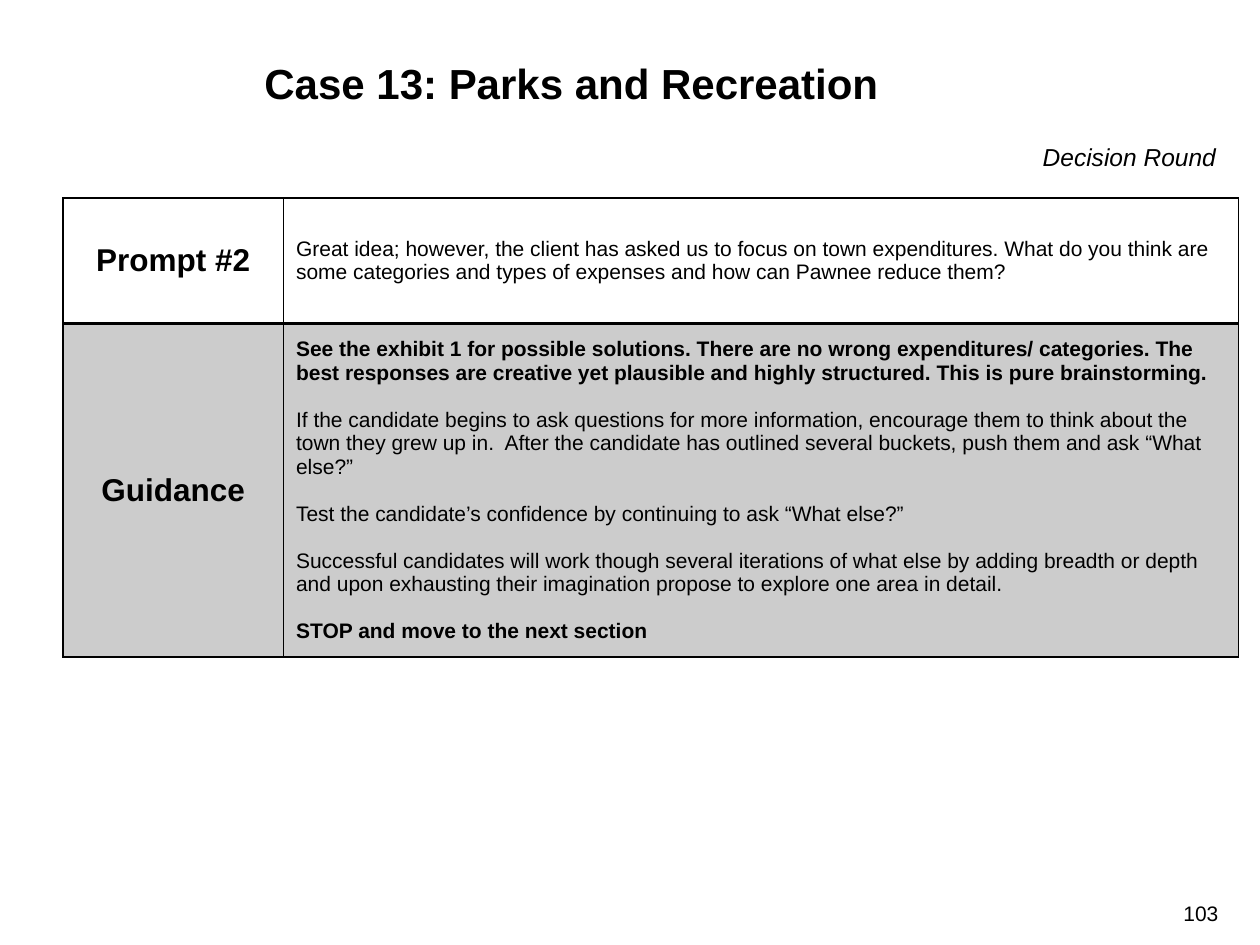
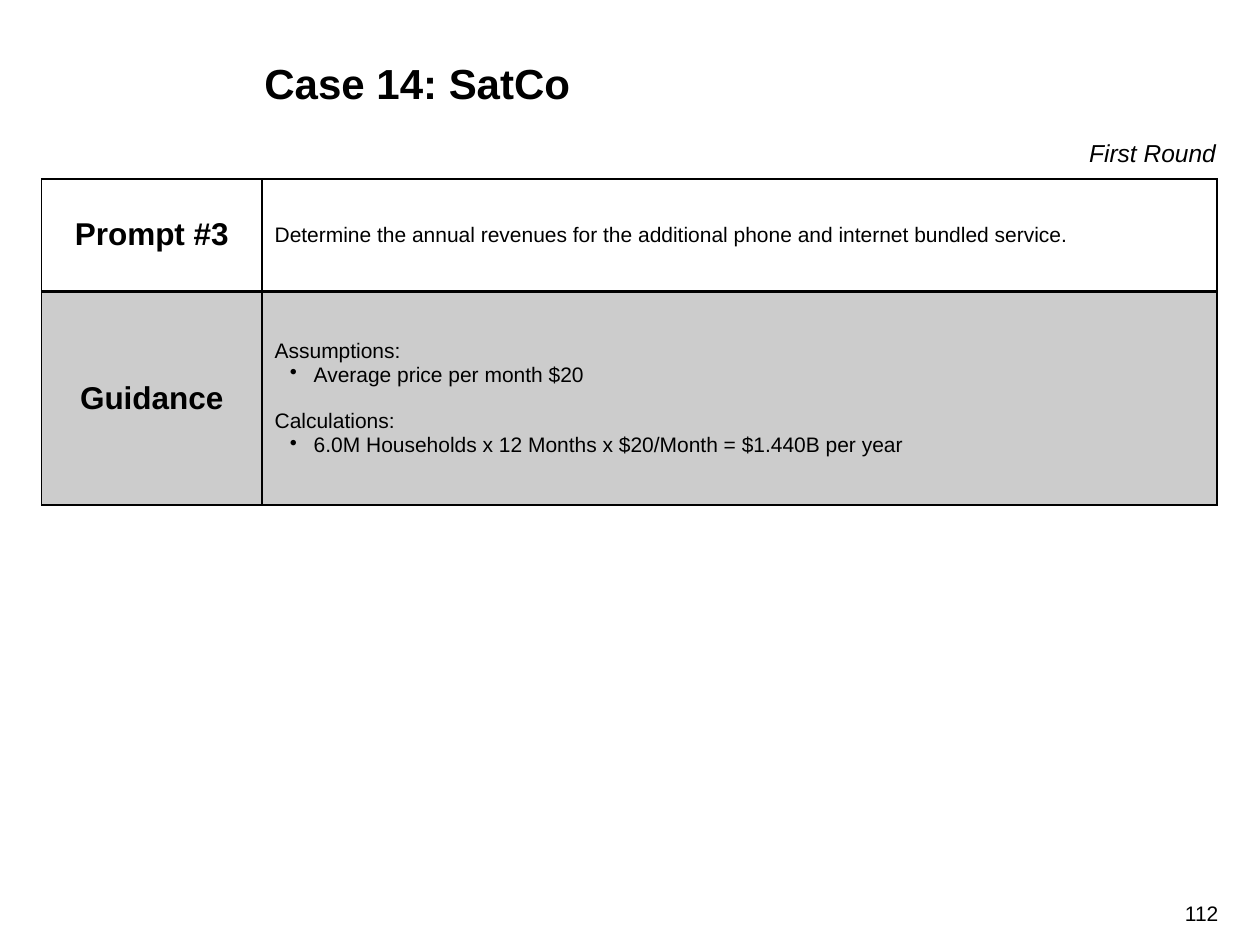
from lxml import etree
from pptx import Presentation
from pptx.dml.color import RGBColor
from pptx.enum.text import MSO_ANCHOR, MSO_AUTO_SIZE, PP_ALIGN
from pptx.oxml.ns import qn
from pptx.util import Inches, Pt

LEFT, CENTER, RIGHT = PP_ALIGN.LEFT, PP_ALIGN.CENTER, PP_ALIGN.RIGHT
MIDDLE = MSO_ANCHOR.MIDDLE
GROW = MSO_AUTO_SIZE.SHAPE_TO_FIT_TEXT

COLORS = {"ink": "000000", "guidance": "CCCCCC"}
FONT = "Arial"
BLANK_LAYOUT = 6
COLUMN_WIDTHS = (1.75, 7.58)
BODY_SIZE = 12
BODY_GAP = 13.4  # one line of body text, in points


def add_bullet(paragraph):
    properties = paragraph._p.get_or_add_pPr()
    properties.set("marL", str(Inches(0.31)))
    properties.set("indent", str(Inches(-0.19)))
    etree.SubElement(properties, qn("a:buChar")).set("char", "•")


def write_text(paragraph, text, size=BODY_SIZE, bold=False, italic=False,
               align=LEFT, gap=0, bullet=False):
    """Fill one paragraph; gap is the space before it in points."""
    if bullet:
        add_bullet(paragraph)
    paragraph.alignment = align
    if gap:
        paragraph.space_before = Pt(gap)
    run = paragraph.add_run()
    run.text = text
    run.font.name = FONT
    run.font.size = Pt(size)
    run.font.bold = bold
    run.font.italic = italic
    run.font.color.rgb = RGBColor.from_string(COLORS["ink"])


def set_borders(cell, **widths):
    """Draw the cell's edges; widths are points by side: L, R, T, B."""
    properties = cell._tc.get_or_add_tcPr()
    for side in "LRTB":
        line = etree.SubElement(properties, qn(f"a:ln{side}"))
        line.set("w", str(Pt(widths.get(side, 1))))
        fill = etree.SubElement(line, qn("a:solidFill"))
        etree.SubElement(fill, qn("a:srgbClr")).set("val", COLORS["ink"])


class CaseDeck:
    def __init__(self):
        self.presentation = Presentation()
        self.presentation.slide_width = Inches(10)
        self.presentation.slide_height = Inches(7.5)
        self.slide = None

    def add_text(self, text, left, top, width, height, inset=True, **style):
        box = self.slide.shapes.add_textbox(
            Inches(left), Inches(top), Inches(width), Inches(height))
        frame = box.text_frame
        frame.word_wrap = True
        if inset:
            frame.auto_size = GROW
        else:
            frame.margin_left = frame.margin_right = 0
            frame.margin_top = frame.margin_bottom = 0
        write_text(frame.paragraphs[0], text, **style)

    def add_case_slide(self, title, round_name, round_top, page):
        layout = self.presentation.slide_layouts[BLANK_LAYOUT]
        self.slide = self.presentation.slides.add_slide(layout)
        self.add_text(title, 2, 0.41, 6.5, 0.51, size=24, bold=True)
        self.add_text(round_name, 8.17, round_top, 1.58, 0.34,
                      size=14, italic=True, align=RIGHT)
        self.add_text(page, 9.25, 7.15, 0.42, 0.25, inset=False, align=RIGHT)

    def fill_cell(self, cell, paragraphs):
        cell.vertical_anchor = MIDDLE
        frame = cell.text_frame
        for index, (text, style) in enumerate(paragraphs):
            paragraph = frame.add_paragraph() if index else frame.paragraphs[0]
            write_text(paragraph, text, **style)

    def add_prompt_table(self, left, top, row_heights, prompt_label, prompt, guidance):
        frame = self.slide.shapes.add_table(
            2, 2, Inches(left), Inches(top),
            Inches(sum(COLUMN_WIDTHS)), Inches(sum(row_heights)))
        table = frame.table
        table.first_row = table.horz_banding = False
        for column, width in zip(table.columns, COLUMN_WIDTHS):
            column.width = Inches(width)
        for row, height in zip(table.rows, row_heights):
            row.height = Inches(height)

        for cell in table.rows[0].cells:
            set_borders(cell, B=2)
            cell.fill.background()
        for cell in table.rows[1].cells:
            set_borders(cell, T=2)
            cell.fill.solid()
            cell.fill.fore_color.rgb = RGBColor.from_string(COLORS["guidance"])

        label_style = {"size": 18, "bold": True, "align": CENTER}
        contents = ((prompt_label, [(prompt, {})]), ("Guidance", guidance))
        for row, (label, paragraphs) in enumerate(contents):
            self.fill_cell(table.cell(row, 0), [(label, label_style)])
            self.fill_cell(table.cell(row, 1), paragraphs)


def main():
    deck = CaseDeck()
    spaced = {"gap": BODY_GAP}
    bullet = {"bullet": True}

    deck.add_case_slide("Case 13: Parks and Recreation", "Decision Round", 1.08, "103")
    deck.add_prompt_table(
        0.5, 1.57, (1, 2.52), "Prompt #2",
        "Great idea; however, the client has asked us to focus on town expenditures. "
        "What do you think are some categories and types of expenses and how can "
        "Pawnee reduce them?",
        [
            ("See the exhibit 1 for possible solutions. There are no wrong expenditures/ "
             "categories. The best responses are creative yet plausible and highly "
             "structured. This is pure brainstorming.", {"bold": True}),
            ("If the candidate begins to ask questions for more information, encourage "
             "them to think about the town they grew up in.  After the candidate has "
             "outlined several buckets, push them and ask “What else?”", spaced),
            ("Test the candidate’s confidence by continuing to ask “What else?”", spaced),
            ("Successful candidates will work though several iterations of what else by "
             "adding breadth or depth and upon exhausting their imagination propose to "
             "explore one area in detail.", spaced),
            ("STOP and move to the next section", {"bold": True, **spaced}),
        ])

    deck.add_case_slide("Case 14: SatCo", "First Round", 1.05, "112")
    deck.add_prompt_table(
        0.33, 1.42, (0.89, 1.7), "Prompt #3",
        "Determine the annual revenues for the additional phone and internet "
        "bundled service.",
        [
            ("Assumptions:", {}),
            ("Average price per month $20", bullet),
            ("Calculations:", spaced),
            ("6.0M Households x 12 Months x $20/Month = $1.440B per year", bullet),
        ])

    deck.presentation.save("out.pptx")


if __name__ == "__main__":
    main()
